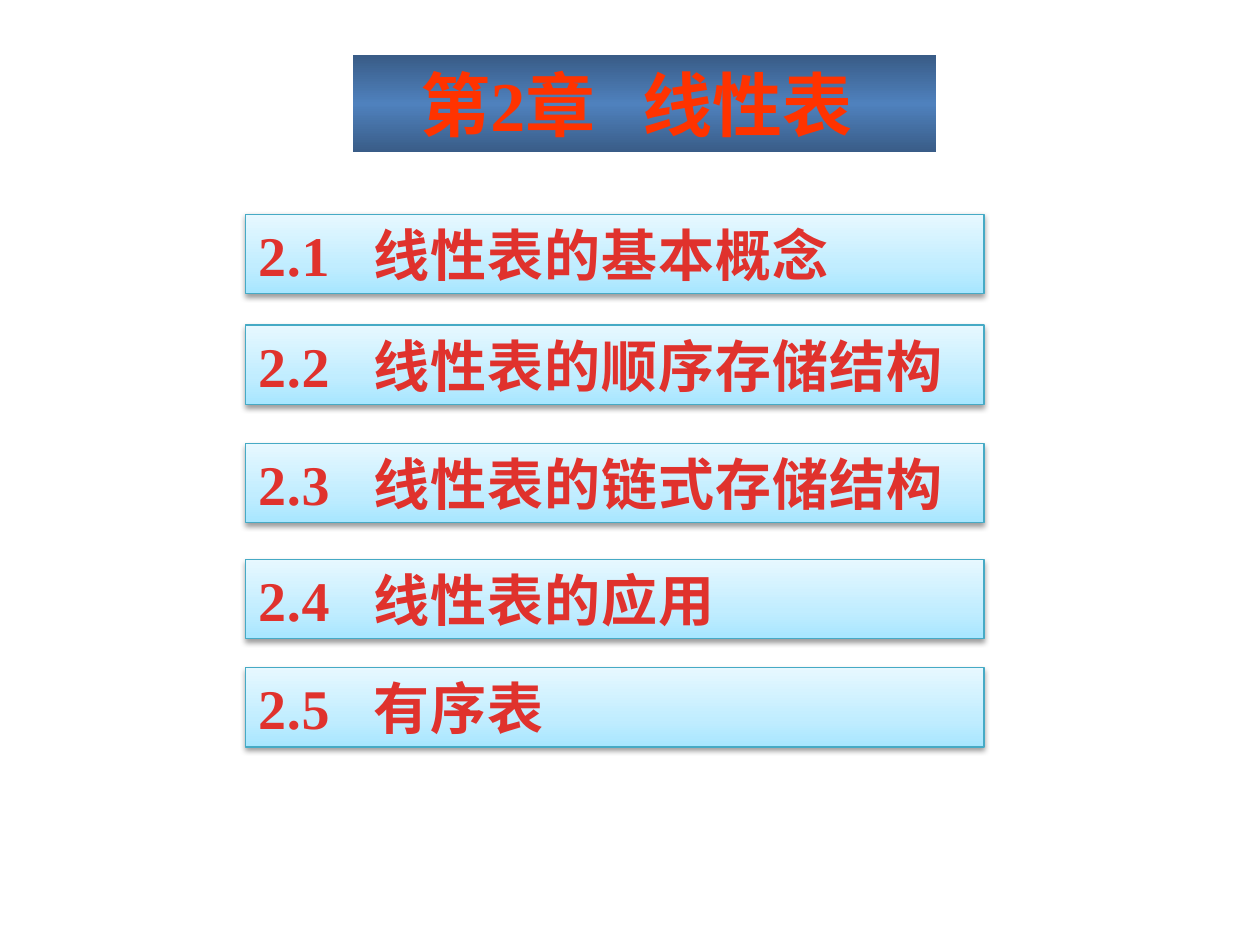
import copy
from dataclasses import dataclass

import lxml.etree
import pptx
import pptx.dml.color
import pptx.enum.shapes
import pptx.enum.text
import pptx.oxml
import pptx.oxml.ns
import pptx.util

Inches = pptx.util.Inches
Pt = pptx.util.Pt
qn = pptx.oxml.ns.qn


@dataclass(frozen=True)
class Theme:
    font: str = "Times New Roman"
    title_size: int = 40
    section_size: int = 32
    title_color: str = "FF3300"
    title_fill: tuple = ((0, "395C87"), (50, "4F81BD"), (100, "395C87"))
    section_fill: tuple = ((0, "A7E6FF"), (35, "C1EDFF"), (100, "E7F8FF"))
    section_text: tuple = ((25, "E0322D"), (100, "A2201C"))
    section_border: str = "46AAC5"
    shadow: str = "000000"


theme = Theme()


def paint_gradient(fill, owner, stops, angle):
    fill.gradient()
    fill.gradient_angle = angle
    stop_list = next(owner.iter(qn("a:gsLst")))
    while len(stop_list) < len(stops):
        stop_list.append(copy.deepcopy(stop_list[-1]))
    for stop, (position, color) in zip(fill.gradient_stops, stops):
        stop.position = position / 100
        stop.color.rgb = pptx.dml.color.RGBColor.from_string(color)


def add_banner(left, top, width, height, text, size, stops, angle):
    banner = slide.shapes.add_shape(
        pptx.enum.shapes.MSO_SHAPE.RECTANGLE,
        Inches(left), Inches(top), Inches(width), Inches(height))
    banner.shadow.inherit = False
    paint_gradient(banner.fill, banner.element.spPr, stops, angle)
    frame = banner.text_frame
    frame.text = text
    frame.word_wrap = True
    frame.auto_size = pptx.enum.text.MSO_AUTO_SIZE.SHAPE_TO_FIT_TEXT
    frame.vertical_anchor = pptx.enum.text.MSO_ANCHOR.TOP
    for run in frame.paragraphs[0].runs:
        run.font.name = theme.font
        run.font.size = Pt(size)
        run.font.bold = True
    return banner


presentation = pptx.Presentation()
presentation.slide_width = Inches(10)
presentation.slide_height = Inches(7.5)
slide = presentation.slides.add_slide(presentation.slide_layouts[6])

chapter = add_banner(2.8, 0.44, 4.63, 0.77, "第2章   线性表 ",
                     theme.title_size, theme.title_fill, 270)
chapter.line.fill.background()
heading = chapter.text_frame.paragraphs[0]
heading.alignment = pptx.enum.text.PP_ALIGN.CENTER
heading.runs[0].font.color.rgb = pptx.dml.color.RGBColor.from_string(theme.title_color)

sections = [
    (1.7, "线性表的基本概念"),
    (2.58, "线性表的顺序存储结构"),
    (3.52, "线性表的链式存储结构"),
    (4.44, "线性表的应用"),
    (5.3, "有序表"),
]
for number, (top, topic) in enumerate(sections, start=1):
    section = add_banner(1.95, top, 5.86, 0.63, f"2.{number}\t{topic}",
                         theme.section_size, theme.section_fill, 90)
    section.line.color.rgb = pptx.dml.color.RGBColor.from_string(theme.section_border)
    section.line.width = Pt(0.75)

    effects = section.element.spPr.find(qn("a:effectLst"))
    shadow = lxml.etree.SubElement(
        effects, qn("a:outerShdw"), blurRad=str(Pt(3.1)), dist=str(Pt(1.6)),
        dir="5400000", rotWithShape="0")
    shade = lxml.etree.SubElement(shadow, qn("a:srgbClr"), val=theme.shadow)
    lxml.etree.SubElement(shade, qn("a:alpha"), val="38000")

    entry = section.text_frame.paragraphs[0]
    entry.alignment = pptx.enum.text.PP_ALIGN.LEFT
    tabs = lxml.etree.SubElement(entry._p.get_or_add_pPr(), qn("a:tabLst"))
    lxml.etree.SubElement(tabs, qn("a:tab"), pos=str(Inches(0.92)), algn="l")
    for run in entry.runs:
        paint_gradient(run.font.fill, run._r, theme.section_text, 270)
        run._r.get_or_add_rPr().set("spc", "50")

presentation.save("out.pptx")
